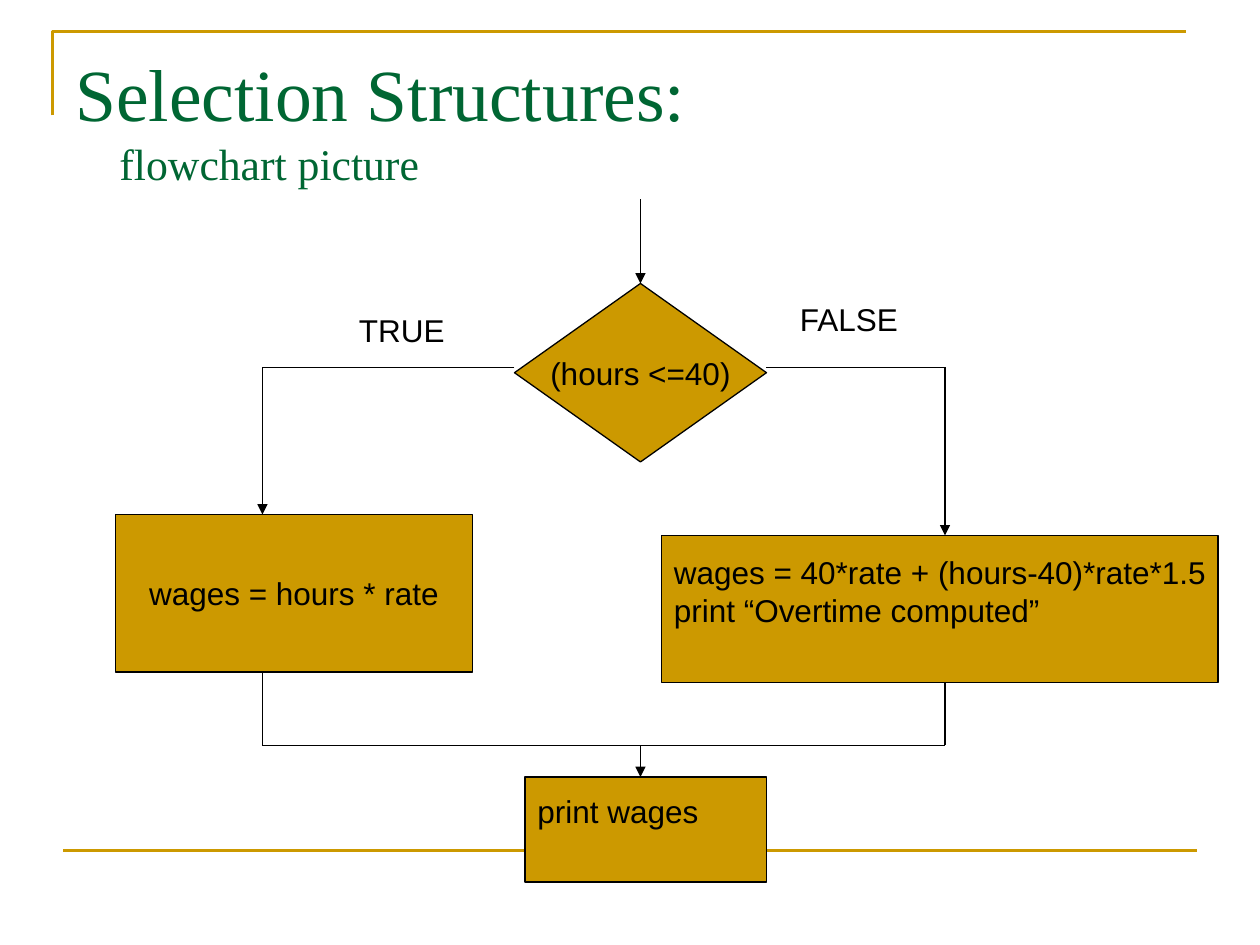
from lxml import etree
from pptx import Presentation
from pptx.dml.color import RGBColor
from pptx.enum.shapes import MSO_CONNECTOR, MSO_SHAPE
from pptx.enum.text import MSO_ANCHOR, PP_ALIGN
from pptx.oxml.ns import qn
from pptx.util import Pt

PX = 7620  # EMU per px, 120 px to the inch
GOLD, GREEN, BLACK = "CC9900", "006633", "000000"
SANS, SERIF = "Arial", "Times New Roman"
STRAIGHT = MSO_CONNECTOR.STRAIGHT
DECISION, PROCESS = MSO_SHAPE.FLOWCHART_DECISION, MSO_SHAPE.FLOWCHART_PROCESS
LEFT, CENTER = PP_ALIGN.LEFT, PP_ALIGN.CENTER
TOP, MIDDLE, BOTTOM = MSO_ANCHOR.TOP, MSO_ANCHOR.MIDDLE, MSO_ANCHOR.BOTTOM
INSET_X, INSET_Y, TEXT_LINE = 12, 6, 35


def emu(*lengths):
    return [length * PX for length in lengths]


def color(hex_value):
    return RGBColor.from_string(hex_value)


def set_frame(shape, anchor, wrap, spare_lines=0):
    frame = shape.text_frame
    frame.word_wrap = wrap
    frame.vertical_anchor = anchor
    frame.margin_left = frame.margin_right = INSET_X * PX
    frame.margin_top = INSET_Y * PX
    frame.margin_bottom = (INSET_Y + spare_lines * TEXT_LINE) * PX
    return frame


def write(paragraph, text, size=18, font=SANS, ink=BLACK, align=LEFT):
    paragraph.alignment = align
    run = paragraph.add_run()
    run.text = text
    run.font.size = Pt(size)
    run.font.name = font
    run.font.color.rgb = color(ink)


def add_line(slide, start, end, ink=BLACK, width=0.75, arrow=False):
    line = slide.shapes.add_connector(STRAIGHT, *emu(*start, *end))
    line.line.color.rgb = color(ink)
    line.line.width = Pt(width)
    if arrow:
        etree.SubElement(line.line._get_or_add_ln(), qn("a:tailEnd"), type="triangle")
    etree.SubElement(line._element.spPr, qn("a:effectLst"))


def add_node(slide, kind, box, lines, align=LEFT, spare_lines=0):
    """A flowchart symbol; spare_lines leaves room below its text."""
    node = slide.shapes.add_shape(kind, *emu(*box))
    node.shadow.inherit = False
    node.fill.solid()
    node.fill.fore_color.rgb = color(GOLD)
    node.line.color.rgb = color(BLACK)
    node.line.width = Pt(0.75)
    frame = set_frame(node, MIDDLE, False, spare_lines)
    for index, text in enumerate(lines):
        paragraph = frame.add_paragraph() if index else frame.paragraphs[0]
        write(paragraph, text, align=align)


def add_label(slide, left, top, text):
    label = slide.shapes.add_textbox(*emu(left, top, 120, 48))
    write(set_frame(label, TOP, True).paragraphs[0], text)


def add_frame_lines(slide, left, top, width):
    # Corner bracket above the title
    builder = slide.shapes.build_freeform(left, top + 80, scale=PX)
    builder.add_line_segments([(left, top), (left + width, top)], close=False)
    bracket = builder.convert_to_shape()
    bracket.shadow.inherit = False
    bracket.fill.background()
    bracket.line.color.rgb = color(GOLD)
    bracket.line.width = Pt(1.5)
    # Footer rule
    rule_y = top + 780
    add_line(slide, (left + 10, rule_y), (left + 10 + width, rule_y), GOLD, 1.5)


def add_title(slide, box):
    title = slide.shapes.add_textbox(*emu(*box))
    frame = set_frame(title, BOTTOM, True)
    write(frame.paragraphs[0], "Selection Structures:", 42, SERIF, GREEN)
    subtitle = frame.add_paragraph()
    write(subtitle, "flowchart picture", 25, SERIF, GREEN)
    subtitle._p.get_or_add_pPr().set("marL", str(42 * PX))


def add_flowchart(slide, left, top):
    def at(x, y):
        return left + x, top + y

    # Columns and rows, measured from the chart's corner
    true_x, main_x, false_x = 140, 500, 790
    branch_y, merge_y = 160, 520

    # Symbols
    add_node(slide, DECISION, (*at(380, 80), 240, 170), ["(hours <=40)"], CENTER)
    add_node(slide, PROCESS, (*at(0, 300), 340, 150), ["wages = hours * rate"], CENTER)
    add_node(slide, PROCESS, (*at(520, 320), 530, 140),
             ["wages = 40*rate + (hours-40)*rate*1.5", "print “Overtime computed”"],
             spare_lines=1)
    add_node(slide, PROCESS, (*at(390, 550), 230, 100), ["print wages"], spare_lines=1)

    # Entry and exit arrows
    add_line(slide, at(main_x, 0), at(main_x, 80), arrow=True)
    add_line(slide, at(main_x, merge_y), at(main_x, 550), arrow=True)

    # Branches: out of the decision, down to the process, down to the merge
    for x, decision_x, box_top, box_bottom in (
        (true_x, 380, 300, 450),
        (false_x, 620, 320, 460),
    ):
        add_line(slide, at(decision_x, branch_y), at(x, branch_y))
        add_line(slide, at(x, branch_y), at(x, box_top), arrow=True)
        add_line(slide, at(x, box_bottom), at(x, merge_y))
    add_line(slide, at(true_x, merge_y), at(false_x, merge_y))

    # Branch labels
    add_label(slide, *at(220, 100), "TRUE")
    add_label(slide, *at(640, 90), "FALSE")


def main():
    presentation = Presentation()
    presentation.slide_width, presentation.slide_height = emu(1200, 900)
    slide = presentation.slides.add_slide(presentation.slide_layouts[6])
    add_frame_lines(slide, 50, 30, 1080)
    add_title(slide, (60, 36, 1080, 150))
    add_flowchart(slide, 110, 190)
    presentation.save("out.pptx")


if __name__ == "__main__":
    main()
